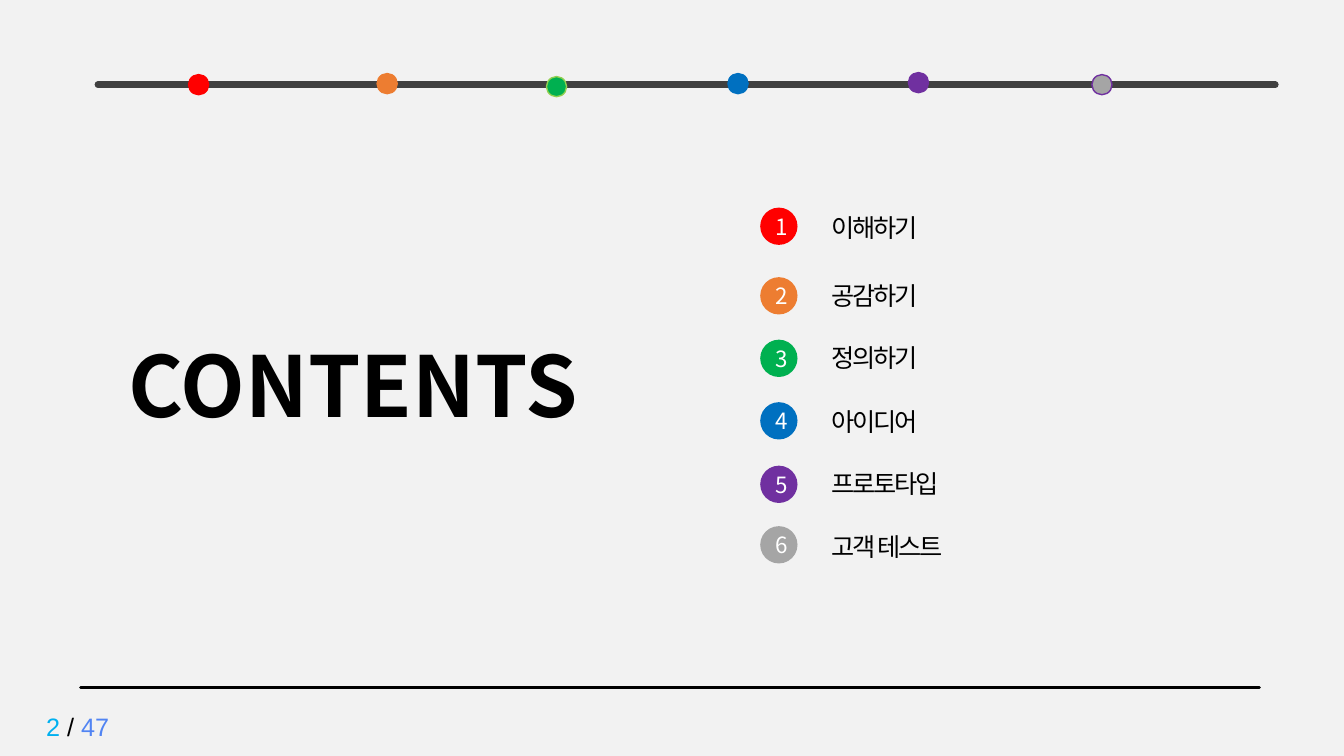
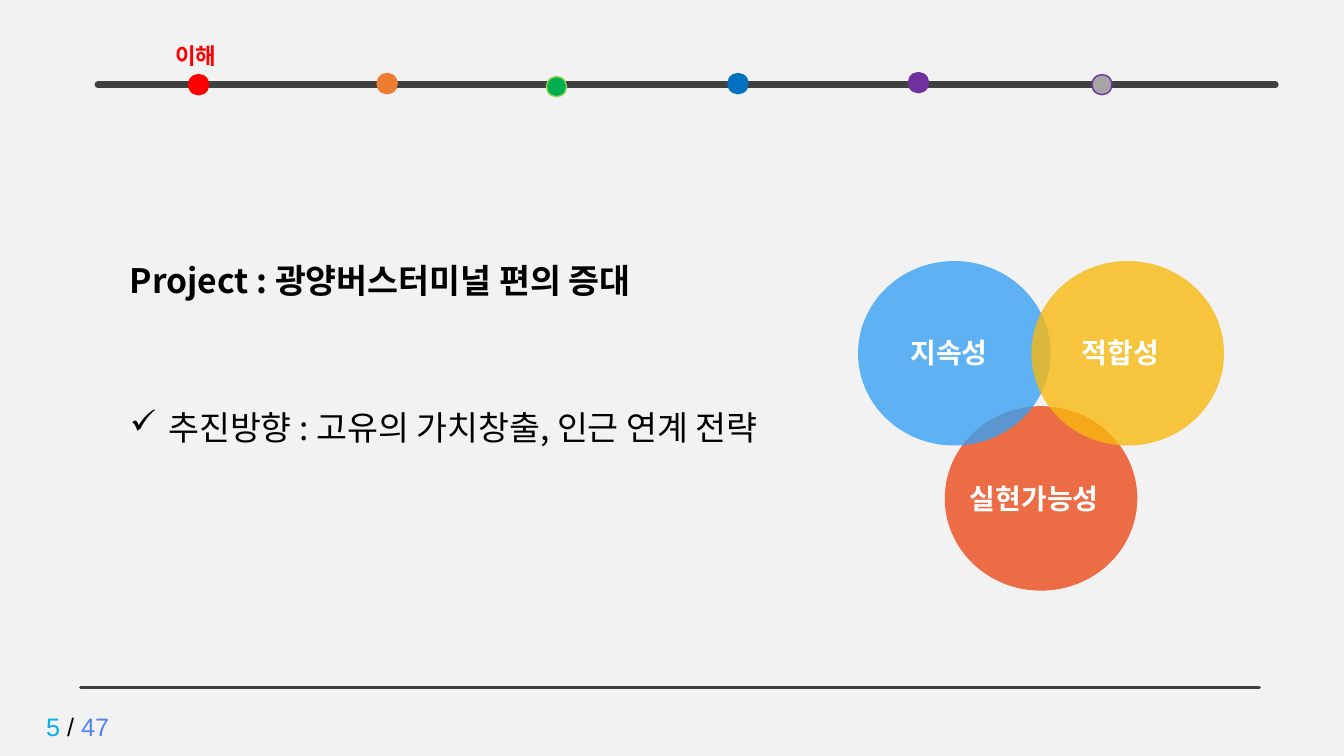
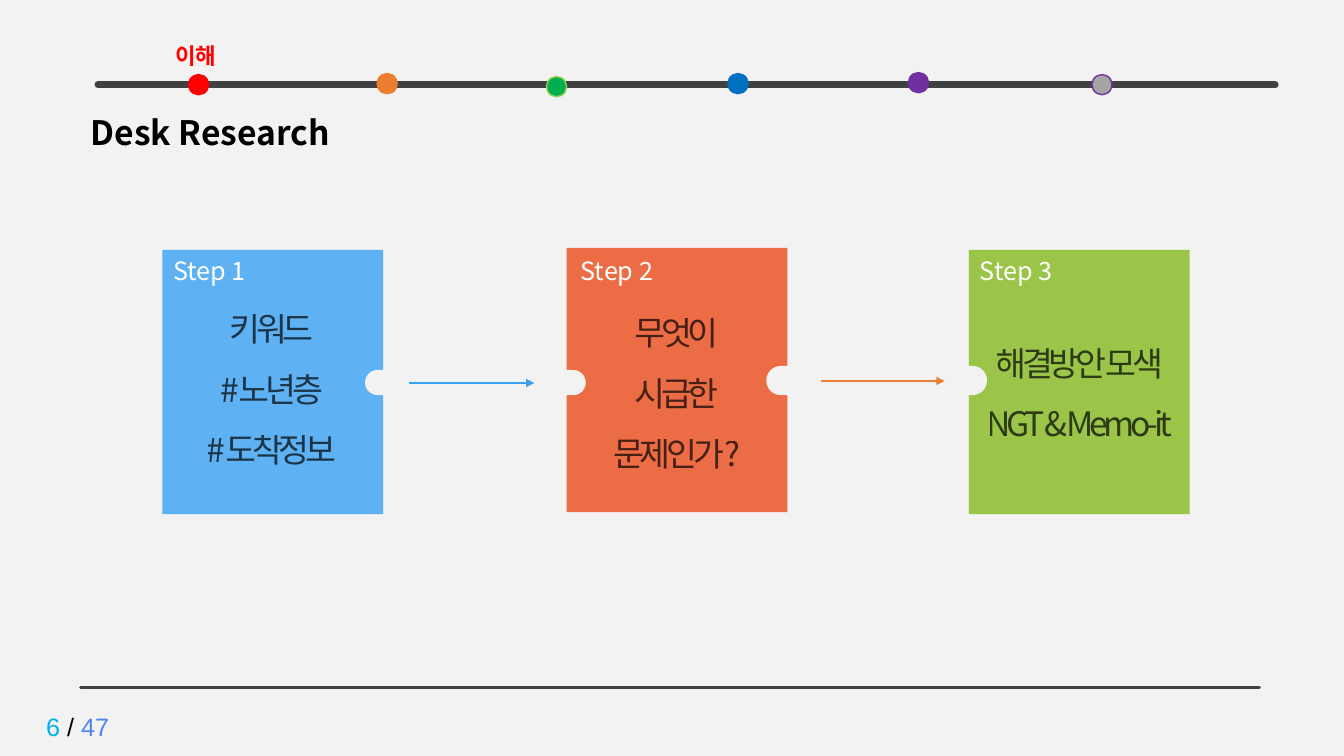
from pptx import Presentation
from pptx import util as u
from pptx.dml.color import RGBColor
from pptx.enum import shapes, text
from pptx.oxml import parse_xml
from pptx.oxml.ns import nsdecls, qn

FONT = "Noto Sans CJK KR"
BACKGROUND, BLACK, WHITE, DARK = "F2F2F2", "000000", "FFFFFF", "404040"
RED, ORANGE, GREEN = "FF0000", "ED7D31", "00B050"
BLUE, PURPLE, GRAY = "0070C0", "7030A0", "A5A5A5"
SKY, CORAL, AMBER, LEAF = "39A1F3", "EB4C1A", "F8B910", "84BA1E"
PAGE_COUNT = "47"
LEFT, CENTER = text.PP_ALIGN.LEFT, text.PP_ALIGN.CENTER
OVAL = shapes.MSO_SHAPE.OVAL
RECTANGLE = shapes.MSO_SHAPE.RECTANGLE
ROUNDED = shapes.MSO_SHAPE.ROUNDED_RECTANGLE

# left, top, fill, outline
TIMELINE_DOTS = [
    (1.87, 0.74, RED, RED),
    (3.74, 0.73, ORANGE, ORANGE),
    (5.42, 0.76, GREEN, "92D050"),
    (7.22, 0.73, BLUE, BLUE),
    (9.01, 0.72, PURPLE, PURPLE),
    (10.83, 0.74, GRAY, PURPLE),
]


def rgb(value):
    return RGBColor.from_string(value)


def inches(*lengths):
    return [u.Inches(length) for length in lengths]


def xml(tag, attributes=""):
    return parse_xml(f"<a:{tag} {nsdecls('a')} {attributes}/>")


def set_opacity(element, percent):
    for color in element.iter(qn("a:srgbClr")):
        color.append(xml("alpha", f'val="{percent * 1000}"'))


def add_run(paragraph, words, size, color, bold=False, spacing=0, opacity=100,
            font=FONT):
    """Spacing is the space between letters in points."""
    run = paragraph.add_run()
    run.text = words
    run.font.size = u.Pt(size)
    run.font.bold = bold
    run.font.color.rgb = rgb(color)
    run.font.name = font
    properties = run.font._element
    properties.find(qn("a:latin")).addnext(xml("ea", f'typeface="{font}"'))
    if spacing:
        properties.set("spc", str(int(spacing * 100)))
    if opacity < 100:
        set_opacity(properties, opacity)


def add_frame(slide, box, wrap=True):
    frame = slide.shapes.add_textbox(*inches(*box)).text_frame
    frame.word_wrap = wrap
    frame.auto_size = text.MSO_AUTO_SIZE.SHAPE_TO_FIT_TEXT
    return frame


def add_text(slide, box, lines, size, color=BLACK, wrap=True, align=LEFT,
             line_spacing=None, bullet=None, **style):
    frame = add_frame(slide, box, wrap)
    for index, line in enumerate(lines):
        paragraph = frame.add_paragraph() if index else frame.paragraphs[0]
        if bullet:
            properties = paragraph._p.get_or_add_pPr()
            properties.set("marL", str(u.Inches(0.38)))
            properties.set("indent", str(-u.Inches(0.38)))
            properties.append(xml("buChar", f'char="{bullet}"'))
        paragraph.alignment = align
        if line_spacing:
            paragraph.line_spacing = line_spacing
        add_run(paragraph, line, size, color, **style)


def add_filled(slide, kind, box, color, outline=None, opacity=100):
    shape = slide.shapes.add_shape(kind, *inches(*box))
    shape.shadow.inherit = False
    shape.fill.solid()
    shape.fill.fore_color.rgb = rgb(color)
    if outline:
        shape.line.color.rgb = rgb(outline)
        shape.line.width = u.Pt(1)
    else:
        shape.line.fill.background()
    if opacity < 100:
        set_opacity(shape._element.spPr, opacity)
    return shape


def add_rule(slide, left, right, top, color, width, arrow=False):
    """Horizontal line, round at both ends or with an arrowhead at the right."""
    rule = slide.shapes.add_connector(
        shapes.MSO_CONNECTOR.STRAIGHT, *inches(left, top, right, top))
    rule.line.color.rgb = rgb(color)
    rule.line.width = u.Pt(width)
    outline = rule.line._get_or_add_ln()
    if arrow:
        outline.append(xml("tailEnd", 'type="triangle"'))
    else:
        outline.set("cap", "rnd")
    rule._element.spPr.append(xml("effectLst"))


def add_badge(slide, top, number, color):
    badge = add_filled(slide, OVAL, (7.54, top, 0.37, 0.37), color)
    badge.text_frame.vertical_anchor = text.MSO_ANCHOR.MIDDLE
    paragraph = badge.text_frame.paragraphs[0]
    paragraph.alignment = CENTER
    add_run(paragraph, str(number), 16, WHITE)


def start_slide(prs, page, footer_color=DARK, stage=None):
    """Blank slide with the timeline, the footer line and the page number."""
    slide = prs.slides.add_slide(prs.slide_layouts[6])
    number = add_frame(slide, (0.36, 7.01, 1.1, 0.4)).paragraphs[0]
    for words, color in ((f"{page} ", "00B0F0"), ("/ ", BLACK),
                         (PAGE_COUNT, "5184F3")):
        add_run(number, words, 18, color, font="Arial")
    add_rule(slide, 0.8, 12.49, 6.82, footer_color, 2.25)
    add_rule(slide, 0.97, 12.65, 0.84, DARK, 4.5)
    for left, top, color, outline in TIMELINE_DOTS:
        add_filled(slide, OVAL, (left, top, 0.2, 0.2), color, outline)
    if stage:
        add_text(slide, (1.64, 0.37, 0.65, 0.37), [stage], 16, RED,
                 wrap=False, bold=True)
    return slide


def build_contents(prs):
    slide = start_slide(prs, 2, footer_color=BLACK)
    add_text(slide, (1.18, 3.26, 5.13, 1.11), ["CONTENTS"], 60, bold=True)
    chapters = [
        ("이해하기", RED, 2.06, 2.06),
        ("공감하기", ORANGE, 2.75, 2.73),
        ("정의하기", GREEN, 3.37, 3.35),
        ("아이디어", BLUE, 3.99, 3.98),
        ("프로토타입", PURPLE, 4.62, 4.6),
        ("고객 테스트", GRAY, 5.22, 5.22),
    ]
    for number, (name, color, badge_top, name_top) in enumerate(chapters, 1):
        add_badge(slide, badge_top, number, color)
        add_text(slide, (8.15, name_top, 1.64, 0.4), [name], 18, spacing=-1.5)


def build_project(prs):
    slide = start_slide(prs, 5, stage="이해")
    add_text(slide, (1.19, 2.53, 5.71, 0.5),
             ["Project : 광양버스터미널 편의 증대"], 24, wrap=False, bold=True)
    add_text(slide, (1.19, 3.79, 7.17, 0.63),
             ["추진방향 : 고유의 가치창출, 인근 연계 전략"], 24, wrap=False,
             line_spacing=1.5, bullet="✓")
    criteria = [
        ("실현가능성", CORAL, 9.37, 4.03, (9.52, 4.73, 1.61, 0.44)),
        ("지속성", SKY, 8.51, 2.59, (8.93, 3.28, 1.08, 0.44)),
        ("적합성", AMBER, 10.23, 2.59, (10.63, 3.28, 1.1, 0.44)),
    ]
    for _, color, left, top, _ in criteria:
        add_filled(slide, OVAL, (left, top, 1.91, 1.83), color, opacity=80)
    for name, _, _, _, name_box in criteria:
        add_text(slide, name_box, [name], 20, WHITE, bold=True)


def build_research(prs):
    slide = start_slide(prs, 6, stage="이해")
    add_text(slide, (0.8, 1.06, 3.27, 0.5), ["Desk Research"], 24, bold=True)
    steps = [
        (SKY, 1.61, 2.48, 1.62, (1.89, 2.81, 1.61, 1.92),
         ["키워드", "#노년층", "#도착정보"]),
        (CORAL, 5.62, 2.46, 5.66, (5.95, 2.85, 1.52, 1.84),
         ["무엇이", "시급한", "문제인가?"]),
        (LEAF, 9.61, 2.48, 9.62, (9.68, 3.15, 2.05, 1.31),
         ["해결방안 모색", "NGT & Memo-it"]),
    ]
    for color, left, top, *_ in steps:
        add_filled(slide, RECTANGLE, (left, top, 2.19, 2.62), color, opacity=80)
    for left, top, height in ((3.62, 3.67, 0.25), (7.6, 3.63, 0.29)):
        notch = add_filled(slide, ROUNDED, (left, top, 2.19, height), BACKGROUND)
        notch.adjustments[0] = 0.5
    add_rule(slide, 4.06, 5.3, 3.8, SKY, 1.5, arrow=True)
    add_rule(slide, 8.14, 9.37, 3.78, ORANGE, 1.5, arrow=True)
    for number, (_, _, _, step_left, task_box, tasks) in enumerate(steps, 1):
        add_text(slide, (step_left, 2.48, 1.01, 0.4), [f"Step {number}"], 18,
                 WHITE)
        add_text(slide, task_box, tasks, 24, wrap=False, align=CENTER,
                 line_spacing=1.5, spacing=-3, opacity=70)


def main():
    prs = Presentation()
    prs.slide_width, prs.slide_height = inches(13.33, 7.5)
    backdrop = prs.slide_master.background.fill
    backdrop.solid()
    backdrop.fore_color.rgb = rgb(BACKGROUND)
    build_contents(prs)
    build_project(prs)
    build_research(prs)
    prs.save("out.pptx")


if __name__ == "__main__":
    main()
